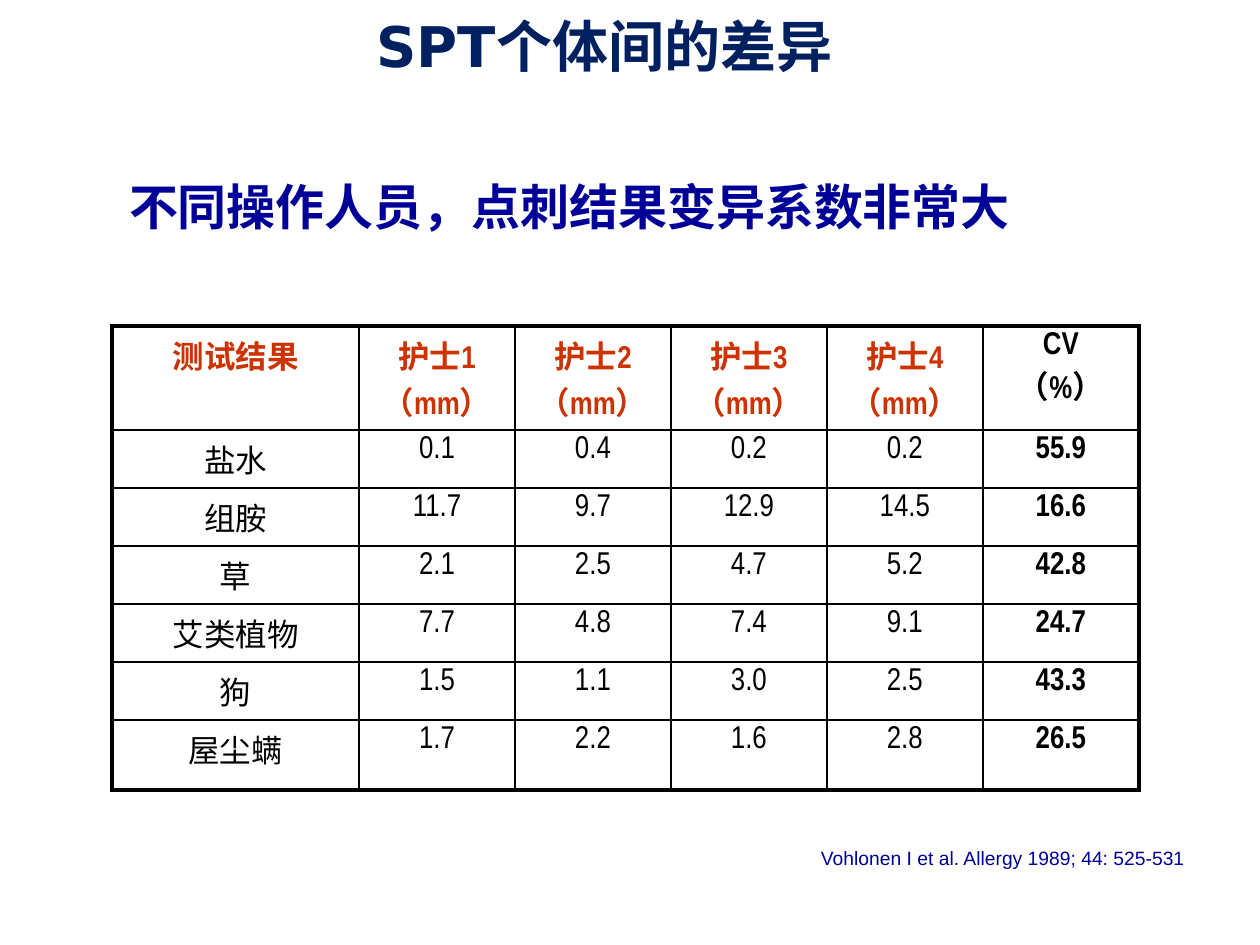
"""Build the slide on SPT variation between operators."""
from lxml.etree import SubElement
from pptx import Presentation
from pptx.dml.color import RGBColor
from pptx.enum.text import MSO_ANCHOR as Anchor, PP_ALIGN as Align
from pptx.oxml.ns import qn
from pptx.util import Pt

TITLE = "SPT个体间的差异"
SUBTITLE = "不同操作人员，点刺结果变异系数非常大"
SOURCE = "Vohlonen I et al. Allergy 1989; 44: 525-531"
ROWS = [
    ["测试结果", *(f"护士{number}\v（mm）" for number in range(1, 5)), "CV\v（%）"],
    ["盐水", "0.1", "0.4", "0.2", "0.2", "55.9"],
    ["组胺", "11.7", "9.7", "12.9", "14.5", "16.6"],
    ["草", "2.1", "2.5", "4.7", "5.2", "42.8"],
    ["艾类植物", "7.7", "4.8", "7.4", "9.1", "24.7"],
    ["狗", "1.5", "1.1", "3.0", "2.5", "43.3"],
    ["屋尘螨", "1.7", "2.2", "1.6", "2.8", "26.5"],
]
COLUMN_WIDTHS = [247] + [156] * 5
ROW_HEIGHTS = [104] + [58] * 5 + [70]
INSET_X, INSET_Y = 12, 6

NAVY = RGBColor(0x00, 0x20, 0x60)
BLUE = RGBColor(0x00, 0x00, 0x99)
RED = RGBColor(0xCC, 0x33, 0x00)
BLACK = RGBColor(0x00, 0x00, 0x00)
CHINESE_FONT = "Noto Sans CJK SC"
THIN, THICK = Pt(1), Pt(2.25)


def px(length):
    return length * 914400 // 126


def set_margins(target):
    target.margin_left = target.margin_right = px(INSET_X)
    target.margin_top = target.margin_bottom = px(INSET_Y)


def write(frame, text, *, size, font, color, bold=False, align=Align.LEFT,
          anchor=Anchor.TOP, wrap=True):
    frame.word_wrap = wrap
    frame.vertical_anchor = anchor
    set_margins(frame)
    paragraph = frame.paragraphs[0]
    paragraph.text = text
    paragraph.alignment = align
    paragraph.space_before = Pt(0)
    for run in paragraph.runs:
        run.font.size = Pt(size)
        run.font.name = font
        run.font.bold = bold
        run.font.color.rgb = color
        SubElement(run.font._element, qn("a:ea"), typeface=CHINESE_FONT)


def set_borders(cell, **widths):
    properties = cell._tc.get_or_add_tcPr()
    for side, width in widths.items():
        line = SubElement(properties, qn(f"a:ln{side}"), w=str(width))
        fill = SubElement(line, qn("a:solidFill"))
        SubElement(fill, qn("a:srgbClr"), val=str(BLACK))


def add_results(slide, left, top):
    row_count, column_count = len(ROWS), len(COLUMN_WIDTHS)
    table = slide.shapes.add_table(
        row_count, column_count, px(left), px(top),
        px(sum(COLUMN_WIDTHS)), px(sum(ROW_HEIGHTS))).table
    table.first_row = table.horz_banding = False
    for column, width in zip(table.columns, COLUMN_WIDTHS):
        column.width = px(width)
    for row, height in zip(table.rows, ROW_HEIGHTS):
        row.height = px(height)
    last_row, last_column = row_count - 1, column_count - 1
    for r, values in enumerate(ROWS):
        for c, value in enumerate(values):
            cell = table.cell(r, c)
            write(cell.text_frame, value, size=18, font="Arial Narrow",
                  color=RED if r == 0 and c < last_column else BLACK,
                  bold=r == 0 or c == last_column, align=Align.CENTER)
            set_margins(cell)
            set_borders(cell,
                        L=THICK if c == 0 else THIN,
                        R=THICK if c == last_column else THIN,
                        T=THICK if r == 0 else THIN,
                        B=THICK if r == last_row else THIN)
            cell.fill.background()


def main():
    presentation = Presentation()
    presentation.slide_width, presentation.slide_height = px(1260), px(945)
    slide = presentation.slides.add_slide(presentation.slide_layouts[5])

    title = slide.shapes.title
    title.left, title.top, title.width, title.height = map(px, (33, 5, 1143, 97))
    write(title.text_frame, TITLE, size=32, font="DejaVu Sans", color=NAVY,
          bold=True, align=Align.CENTER)

    add_results(slide, 112, 326)

    source = slide.shapes.add_textbox(*map(px, (809, 839, 393, 37)))
    write(source.text_frame, SOURCE, size=11, font="Arial", color=BLUE,
          anchor=Anchor.MIDDLE, wrap=False)

    subtitle = slide.shapes.add_textbox(*map(px, (117, 170, 979, 72)))
    write(subtitle.text_frame, SUBTITLE, size=28, font=CHINESE_FONT, color=BLUE,
          bold=True)

    presentation.save("out.pptx")


if __name__ == "__main__":
    main()
